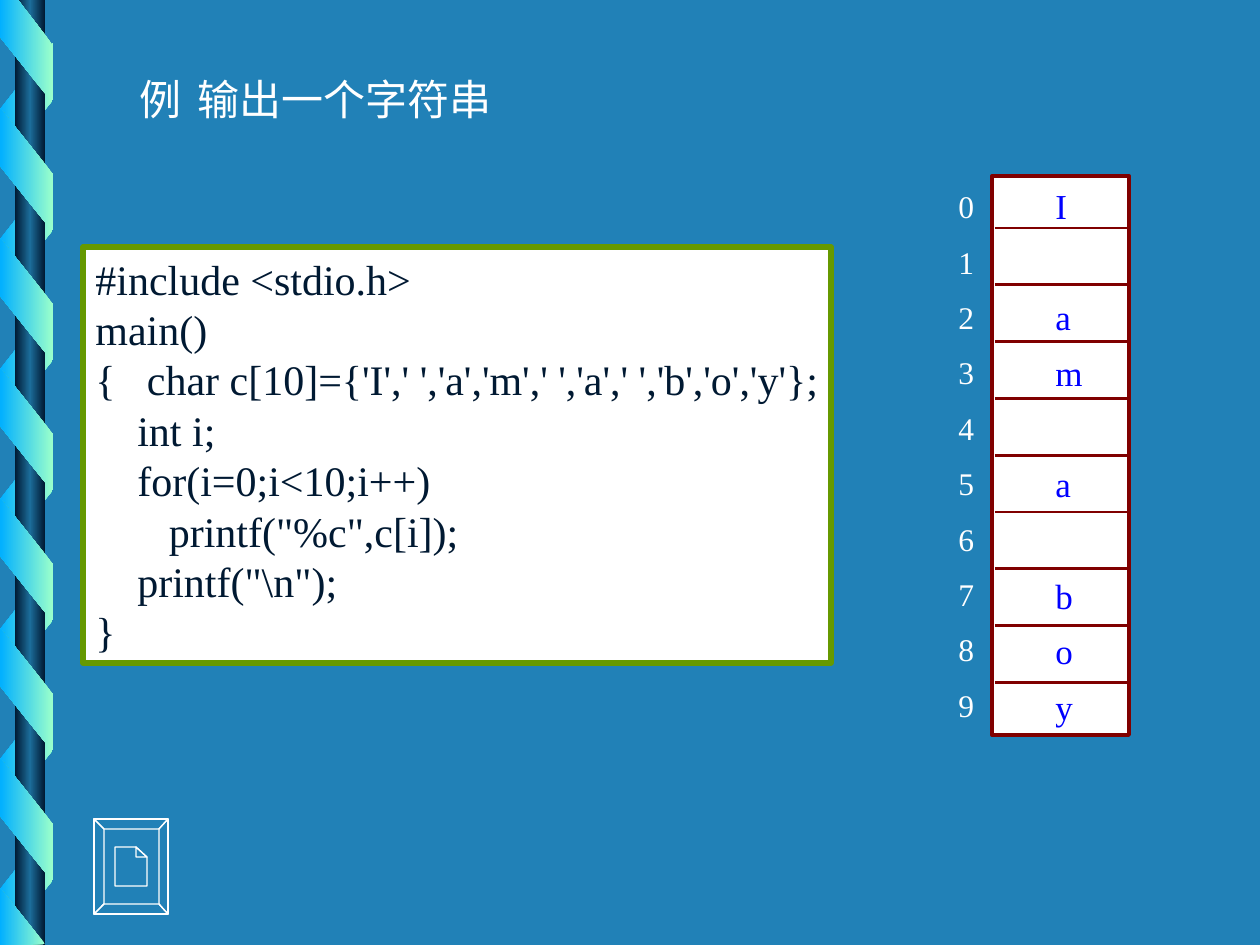
from copy import deepcopy

from lxml import etree
from pptx import Presentation
from pptx.dml.color import RGBColor
from pptx.enum.shapes import MSO_CONNECTOR, MSO_SHAPE
from pptx.enum.text import MSO_ANCHOR, PP_ALIGN
from pptx.oxml.ns import qn
from pptx.util import Pt

PX = 914400 / 126
RECT, SLANT = MSO_SHAPE.RECTANGLE, MSO_SHAPE.PARALLELOGRAM
LINE = MSO_CONNECTOR.STRAIGHT
LEFT, TOP = PP_ALIGN.LEFT, MSO_ANCHOR.TOP


class Theme:
    font = "Times New Roman"
    back = RGBColor.from_string("2181B7")
    white = RGBColor.from_string("FFFFFF")
    ink = RGBColor.from_string("001932")
    green = RGBColor.from_string("669900")
    maroon = RGBColor.from_string("800000")
    blue = RGBColor.from_string("0000FF")
    sky = RGBColor.from_string("01B0FF")
    mint = RGBColor.from_string("99FFCC")
    steel = RGBColor.from_string("1C6D9A")
    large, mid, small = 24, 20, 18


def shade(shape, colours):
    """Fill with evenly spaced colours from right to left, with no outline."""
    shape.shadow.inherit = False
    shape.line.fill.background()
    shape.fill.gradient()
    shape.fill.gradient_angle = 180
    grad = shape._element.spPr.find(qn("a:gradFill"))
    grad.set("rotWithShape", "0")
    stops = grad.find(qn("a:gsLst"))
    for _ in colours[2:]:
        stops.append(deepcopy(stops[0]))
    for i, (stop, colour) in enumerate(zip(shape.fill.gradient_stops, colours)):
        stop.position = i / (len(colours) - 1)
        stop.color.rgb = colour


def write(para, text, size, colour):
    run = para.add_run()
    run.text = text
    run.font.name = Theme.font
    run.font.size = Pt(size)
    run.font.color.rgb = colour


deck = Presentation()
deck.slide_width, deck.slide_height = round(1260 * PX), round(945 * PX)
slide = deck.slides.add_slide(deck.slide_layouts[6])
shapes = slide.shapes
slide.background.fill.solid()
slide.background.fill.fore_color.rgb = Theme.back

# Ribbon wound around a rod: back strips, rod, front strips
behind = [(SLANT, -35, 78 + 130 * i, 123, 53, 90, (Theme.sky, Theme.mint))
          for i in range(7)]
rod = [(RECT, 15, 0, 30, 945, 0, (Theme.ink, Theme.steel, Theme.ink))]
front = [(SLANT, -35, 144 + 130 * i, 123, 52, 270, (Theme.mint, Theme.sky))
         for i in range(6)]
for kind, x, y, w, h, turn, colours in behind + rod + front:
    part = shapes.add_shape(kind, *(round(v * PX) for v in (x, y, w, h)))
    part.rotation = turn
    if kind == SLANT:
        part.adjustments[0] = 1.25
    if turn == 90:
        part._element.spPr.xfrm.set("flipH", "1")
    shade(part, colours)

ends = [
    [(0, 0), (0, 37), (52, 102), (52, 44), (18, 0)],
    [(45, 944), (0, 888), (0, 945)],
]
for points in ends:
    pen = shapes.build_freeform(*points[0], scale=PX)
    pen.add_line_segments(points[1:])
    shade(pen.convert_to_shape(), (Theme.mint, Theme.sky))

# Document button with bevelled frame
outer = [(94, 819), (168, 819), (168, 914), (94, 914)]
inner = [(104, 829), (159, 829), (159, 904), (104, 904)]
loops = [[outer[i - 1], outer[i], inner[i], inner[i - 1]] for i in range(4)]
loops.append([(115, 847), (136, 847), (147, 857), (147, 886), (115, 886)])
loops.append([(136, 847), (147, 857), (136, 857)])
pen = shapes.build_freeform(*outer[0], scale=PX)
pen.add_line_segments(outer[1:])
for points in loops:
    pen.move_to(*points[0])
    pen.add_line_segments(points[1:])
button = pen.convert_to_shape()
button.shadow.inherit = False
button.fill.solid()
button.fill.fore_color.rgb = Theme.back
button.line.color.rgb = Theme.white
button.line.width = Pt(0.75)

# Title
title = shapes.add_textbox(*(round(v * PX) for v in (127, 67, 380, 63)))
title.text_frame.word_wrap = True
para = title.text_frame.paragraphs[0]
for text, size in [("例", Theme.large), ("  ", Theme.mid),
                   ("输出一个字符串", Theme.large)]:
    write(para, text, size, Theme.white)

# Code panel and memory column
array = shapes.add_group_shape().shapes
panels = []
for home, box, edge, width in [
    (shapes, (83, 247, 748, 416), Theme.green, 3),
    (array, (992, 176, 137, 559), Theme.maroon, 2.25),
]:
    panel = home.add_shape(RECT, *(round(v * PX) for v in box))
    panel.shadow.inherit = False
    panel.fill.solid()
    panel.fill.fore_color.rgb = Theme.white
    panel.line.color.rgb = edge
    panel.line.width = Pt(width)
    panels.append(panel)

code = r"""#include <stdio.h>
main()
{   char c[10]={'I',' ','a','m',' ','a',' ','b','o','y'};
    int i;
    for(i=0;i<10;i++)
       printf("%c",c[i]);
    printf("\n");
}"""
frame = panels[0].text_frame
frame.word_wrap = False
frame.vertical_anchor = TOP
for i, text in enumerate(code.split("\n")):
    para = frame.add_paragraph() if i else frame.paragraphs[0]
    para.alignment = LEFT
    write(para, text, Theme.large, Theme.ink)

for i in range(9):
    y = round((228 + 56.8 * i) * PX)
    rule = array.add_connector(LINE, round(995 * PX), y, round(1131 * PX), y)
    rule.line.color.rgb = Theme.maroon
    rule.line.width = Pt(1.5)
    etree.SubElement(rule._element.spPr, qn("a:effectLst"))

for marks, x, top, step, h, size, colour in [
    ("I am a boy", 1043, 178, 55.7, 55, Theme.mid, Theme.blue),
    ("0123456789", 946, 181, 55.4, 50, Theme.small, Theme.white),
]:
    for i, mark in enumerate(marks):
        if mark == " ":
            continue
        box = (x, top + step * i, 52, h)
        cell = array.add_textbox(*(round(v * PX) for v in box))
        cell.text_frame.word_wrap = True
        write(cell.text_frame.paragraphs[0], mark, size, colour)

deck.save("out.pptx")
